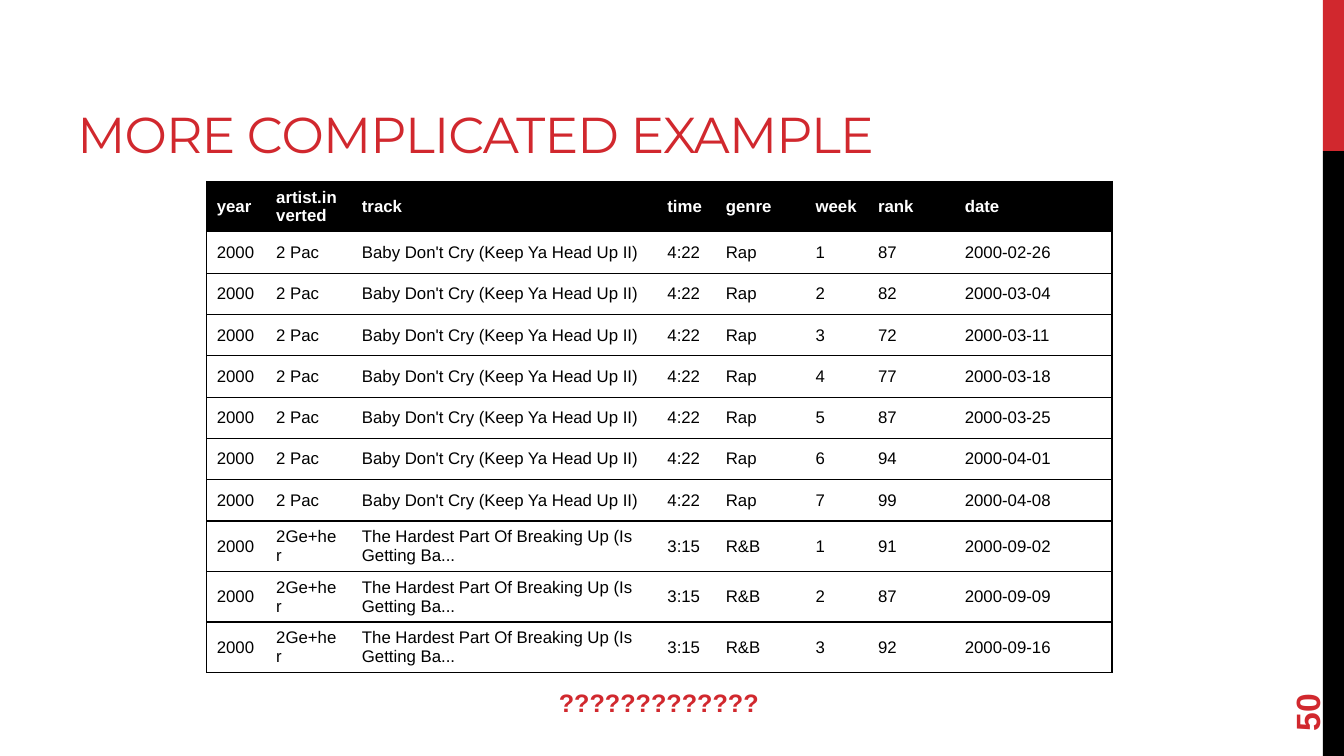
from lxml import etree
from pptx import Presentation
from pptx.dml.color import RGBColor
from pptx.enum.shapes import MSO_SHAPE
from pptx.enum.text import MSO_ANCHOR, PP_ALIGN
from pptx.oxml.ns import qn
from pptx.util import Inches, Pt

RECTANGLE = MSO_SHAPE.RECTANGLE
MIDDLE, BOTTOM = MSO_ANCHOR.MIDDLE, MSO_ANCHOR.BOTTOM
LEFT, CENTER = PP_ALIGN.LEFT, PP_ALIGN.CENTER

COLORS = {"red": "D1282E", "black": "000000", "white": "FFFFFF"}
WIDTH, HEIGHT = 13.33, 7.5

HEADERS = ["year", "artist.inverted", "track", "time", "genre", "week", "rank", "date"]
COLUMN_WIDTHS = [0.59, 0.85, 3.03, 0.58, 0.89, 0.62, 0.86, 1.56]
ROW_HEIGHT = 0.41
SONGS = [
    (("2000", "2 Pac", "Baby Don't Cry (Keep Ya Head Up II)", "4:22", "Rap"),
     [("87", "2000-02-26"), ("82", "2000-03-04"), ("72", "2000-03-11"),
      ("77", "2000-03-18"), ("87", "2000-03-25"), ("94", "2000-04-01"),
      ("99", "2000-04-08")]),
    (("2000", "2Ge+her", "The Hardest Part Of Breaking Up (Is Getting Ba...", "3:15", "R&B"),
     [("91", "2000-09-02"), ("87", "2000-09-09"), ("92", "2000-09-16")]),
]


def color(name):
    return RGBColor.from_string(COLORS[name])


def write(frame, text, size, tint, font="Arial", bold=False, align=LEFT):
    frame.text = text
    paragraph = frame.paragraphs[0]
    paragraph.alignment = align
    run_font = paragraph.runs[0].font
    run_font.name, run_font.size, run_font.bold = font, Pt(size), bold
    run_font.color.rgb = color(tint)


def add_side_band(slide, left, width):
    red_height = HEIGHT / 5
    for top, height, tint in ((0, red_height, "red"),
                              (red_height, HEIGHT - red_height, "black")):
        band = slide.shapes.add_shape(RECTANGLE, Inches(left), Inches(top),
                                      Inches(width), Inches(height))
        band.shadow.inherit = False
        band.fill.solid()
        band.fill.fore_color.rgb = color(tint)
        band.line.fill.background()


def place_title(slide, left, top, width, height):
    title = slide.shapes.title
    title.left, title.top = Inches(left), Inches(top)
    title.width, title.height = Inches(width), Inches(height)
    frame = title.text_frame
    frame.vertical_anchor = BOTTOM
    frame.word_wrap = True
    write(frame, "MORE COMPLICATED EXAMPLE", 36, "red", "Montserrat")
    frame.paragraphs[0].runs[0].font._element.set("spc", "-60")


def add_label(slide, text, size, left, top, width, height, align=LEFT, rotation=0):
    label = slide.shapes.add_textbox(Inches(left), Inches(top), Inches(width), Inches(height))
    label.rotation = rotation
    frame = label.text_frame
    frame.word_wrap = True
    frame.vertical_anchor = MIDDLE
    write(frame, text, size, "red", bold=True, align=align)


def set_borders(cell, visible_sides):
    properties = cell._tc.get_or_add_tcPr()
    for side in "LRTB":
        border = etree.SubElement(properties, qn(f"a:ln{side}"), w=str(Pt(1)))
        if side in visible_sides:
            fill = etree.SubElement(border, qn("a:solidFill"))
            etree.SubElement(fill, qn("a:srgbClr"), val=COLORS["black"])
        else:
            etree.SubElement(border, qn("a:noFill"))


def add_chart_history(slide, left, top):
    records = [HEADERS] + [
        [*song, str(week), rank, date]
        for song, weeks in SONGS
        for week, (rank, date) in enumerate(weeks, 1)
    ]
    history = slide.shapes.add_table(
        len(records), len(HEADERS), Inches(left), Inches(top),
        Inches(sum(COLUMN_WIDTHS)), Inches(ROW_HEIGHT * len(records))).table
    history.horizontal_banding = False
    for column, width in zip(history.columns, COLUMN_WIDTHS):
        column.width = Inches(width)
    for row_index, record in enumerate(records):
        history.rows[row_index].height = Inches(ROW_HEIGHT)
        is_header = row_index == 0
        for column_index, value in enumerate(record):
            cell = history.cell(row_index, column_index)
            sides = "TB"
            if column_index == 0:
                sides += "L"
            if column_index == len(HEADERS) - 1:
                sides += "R"
            set_borders(cell, sides)
            cell.fill.solid()
            cell.fill.fore_color.rgb = color("black" if is_header else "white")
            cell.vertical_anchor = MIDDLE
            write(cell.text_frame, value, 12, "white" if is_header else "black",
                  bold=is_header)


def main():
    presentation = Presentation()
    presentation.slide_width, presentation.slide_height = Inches(WIDTH), Inches(HEIGHT)
    slide = presentation.slides.add_slide(presentation.slide_layouts[5])
    band_width = 0.21
    add_side_band(slide, WIDTH - band_width, band_width)
    place_title(slide, WIDTH / 20, 0.17, 8.44, HEIGHT / 5)
    add_label(slide, "50", 24, 12.24, 6.37, 1.44, 0.53, rotation=270)
    add_chart_history(slide, 2.05, 1.8)
    add_label(slide, "?????????????", 18, 4.74, 6.77, 3.59, 0.4, align=CENTER)
    presentation.save("out.pptx")


if __name__ == "__main__":
    main()
